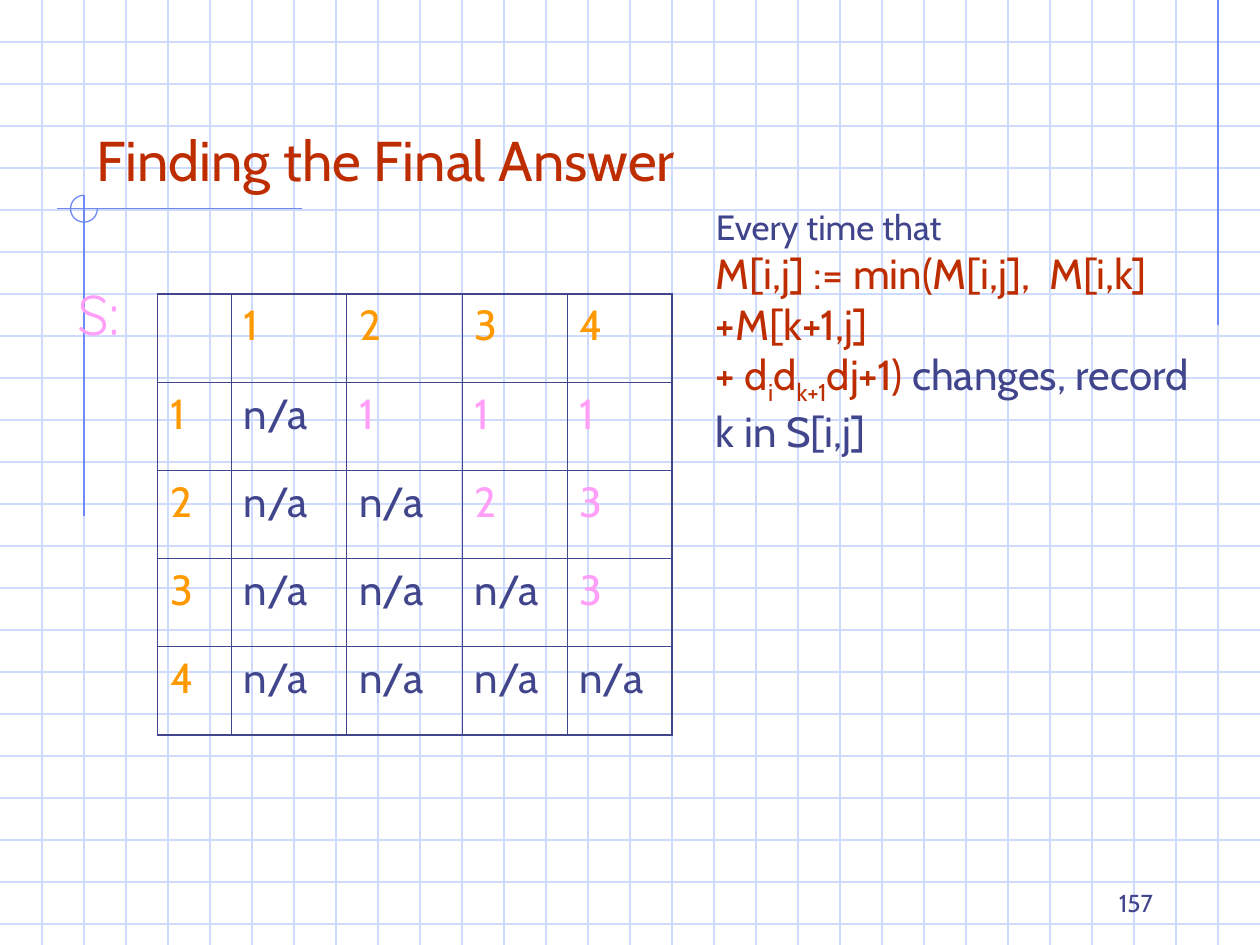
import math
from dataclasses import dataclass

import pptx
import pptx.dml.color
import pptx.enum.shapes
import pptx.enum.text
import pptx.oxml
import pptx.oxml.ns
import pptx.util

COLS, ROWS = 30, 22.5
INK, RED, ORANGE, PINK = "40458C", "BE2D00", "FF9900", "FF9FF8"
GRID, ACCENT = "CFDBFD", "6F89F7"
THIN, THICK = 0.45, 1.08
ALIGN = pptx.enum.text.PP_ALIGN
ANCHOR = pptx.enum.text.MSO_ANCHOR


@dataclass
class Box:
    col: float
    row: float
    cols: float
    rows: float

    def emu(self) -> list[int]:
        return [units(v) for v in (self.col, self.row, self.cols, self.rows)]


@dataclass
class Line:
    col1: float
    row1: float
    col2: float
    row2: float
    color: str


@dataclass
class Run:
    text: str
    size: float
    color: str
    font: str = "Cabin"
    baseline: int = 0


def units(n: float) -> int:
    return pptx.util.Inches(n / 3)


def rgb(color: str) -> pptx.dml.color.RGBColor:
    return pptx.dml.color.RGBColor.from_string(color)


def draw_line(s, line: Line) -> None:
    ends = [units(v) for v in (line.col1, line.row1, line.col2, line.row2)]
    sp = s.shapes.add_connector(pptx.enum.shapes.MSO_CONNECTOR.STRAIGHT, *ends)
    sp.line.color.rgb = rgb(line.color)
    sp.line.width = pptx.util.Pt(0.75)
    pptx.oxml.ns.qn("a:effectLst")
    sp._element.spPr.append(pptx.oxml.parse_xml(
        f"<a:effectLst {pptx.oxml.ns.nsdecls('a')}/>"))


def draw_ring(s, box: Box) -> None:
    sp = s.shapes.add_shape(pptx.enum.shapes.MSO_SHAPE.ARC, *box.emu())
    sp.adjustments[0], sp.adjustments[1] = 0, 162
    sp.shadow.inherit = False
    sp.fill.background()
    sp.line.color.rgb = rgb(ACCENT)
    sp.line.width = pptx.util.Pt(0.75)


def write(tf, paragraphs: list[list[Run]], align=ALIGN.LEFT) -> None:
    for i, runs in enumerate(paragraphs):
        p = tf.add_paragraph() if i else tf.paragraphs[0]
        p.alignment = align
        for run in runs:
            r = p.add_run()
            r.text = run.text
            r.font.name = run.font
            r.font.size = pptx.util.Pt(run.size)
            r.font.color.rgb = rgb(run.color)
            if run.baseline:
                r._r.get_or_add_rPr().set("baseline", str(run.baseline * 1000))


def draw_text(s, box: Box, paragraphs: list[list[Run]], wrap: bool = True,
              align=ALIGN.LEFT, anchor=ANCHOR.TOP) -> None:
    tf = s.shapes.add_textbox(*box.emu()).text_frame
    tf.word_wrap = wrap
    tf.vertical_anchor = anchor
    write(tf, paragraphs, align)


def set_title(s, box: Box, run: Run) -> None:
    sp = s.shapes.title
    sp.left, sp.top, sp.width, sp.height = box.emu()
    sp.text_frame.vertical_anchor = ANCHOR.BOTTOM
    write(sp.text_frame, [[run]])
    s.shapes._spTree.append(sp._element)


def set_borders(cell, widths: dict[str, float]) -> None:
    tcPr = cell._tc.get_or_add_tcPr()
    for side, width in widths.items():
        tcPr.append(pptx.oxml.parse_xml(
            f'<a:ln{side} {pptx.oxml.ns.nsdecls("a")} w="{pptx.util.Pt(width)}">'
            f'<a:solidFill><a:srgbClr val="{INK}"/></a:solidFill></a:ln{side}>'))


def split_value(i: int, j: int, splits: dict[tuple[int, int], int]) -> Run:
    if i == 0 or j == 0:
        return Run(str(i + j) if i + j else "", 24, ORANGE)
    if (i, j) in splits:
        return Run(str(splits[i, j]), 24, PINK)
    return Run("n/a", 24, INK)


def draw_split_table(s, box: Box, col_widths: list[float],
                     splits: dict[tuple[int, int], int]) -> None:
    n = len(col_widths)
    table = s.shapes.add_table(n, n, *box.emu()).table
    table.first_row = table.horz_banding = False
    for j, width in enumerate(col_widths):
        table.columns[j].width = units(width)
    for i in range(n):
        table.rows[i].height = units(box.rows / n)
        for j in range(n):
            cell = table.cell(i, j)
            outer = {"L": j == 0, "R": j == n - 1, "T": i == 0, "B": i == n - 1}
            set_borders(cell, {k: THICK if v else THIN for k, v in outer.items()})
            cell.fill.background()
            run = split_value(i, j, splits)
            if run.text:
                write(cell.text_frame, [[run]])


def main() -> None:
    prs = pptx.Presentation()
    prs.slide_width, prs.slide_height = units(COLS), units(ROWS)
    s = prs.slides.add_slide(prs.slide_layouts[5])
    s.background.fill.solid()
    s.background.fill.fore_color.rgb = rgb("FFFFFF")

    lines = [Line(0, row, COLS, row, GRID) for row in range(1, math.ceil(ROWS))]
    lines += [Line(col, 0, col, ROWS, GRID) for col in range(1, COLS)]
    lines += [
        Line(29, 0, 29, 7.75, ACCENT),
        Line(7.2, 4.97, 1.35, 4.97, ACCENT),
        Line(2, 4.65, 2, 12.28, ACCENT),
    ]
    for line in lines:
        draw_line(s, line)
    draw_ring(s, Box(1.68, 4.65, 0.64, 0.64))

    set_title(s, Box(2, 1, 25.5, 3.75), Run("Finding the Final Answer", 32, RED))
    draw_text(s, Box(1.55, 6.5, 1.7, 1.92),
              [[Run("S:", 32, PINK, "Quicksand")]], wrap=False)
    draw_split_table(
        s, Box(3.75, 7, 12.25, 10.5), [1.75, 2.75, 2.75, 2.5, 2.5],
        {(1, 2): 1, (1, 3): 1, (1, 4): 1, (2, 3): 2, (2, 4): 3, (3, 4): 3})
    draw_text(s, Box(16.75, 4.75, 12.5, 6.25), [
        [Run("Every time that", 20, INK)],
        [Run("M[i,j] := min(M[i,j],  M[i,k] +M[k+1,j]", 24, RED)],
        [
            Run("+ d", 24, RED),
            Run("i", 24, RED, baseline=-25),
            Run("d", 24, RED),
            Run("k+1", 24, RED, baseline=-25),
            Run("dj+1)", 24, RED),
            Run(" changes, record k in S[i,j]", 24, INK),
        ],
    ])
    draw_text(s, Box(21.5, 20.5, 6.25, 1.5), [[Run("157", 14, INK)]],
              align=ALIGN.RIGHT, anchor=ANCHOR.BOTTOM)
    prs.save("out.pptx")


if __name__ == "__main__":
    main()
